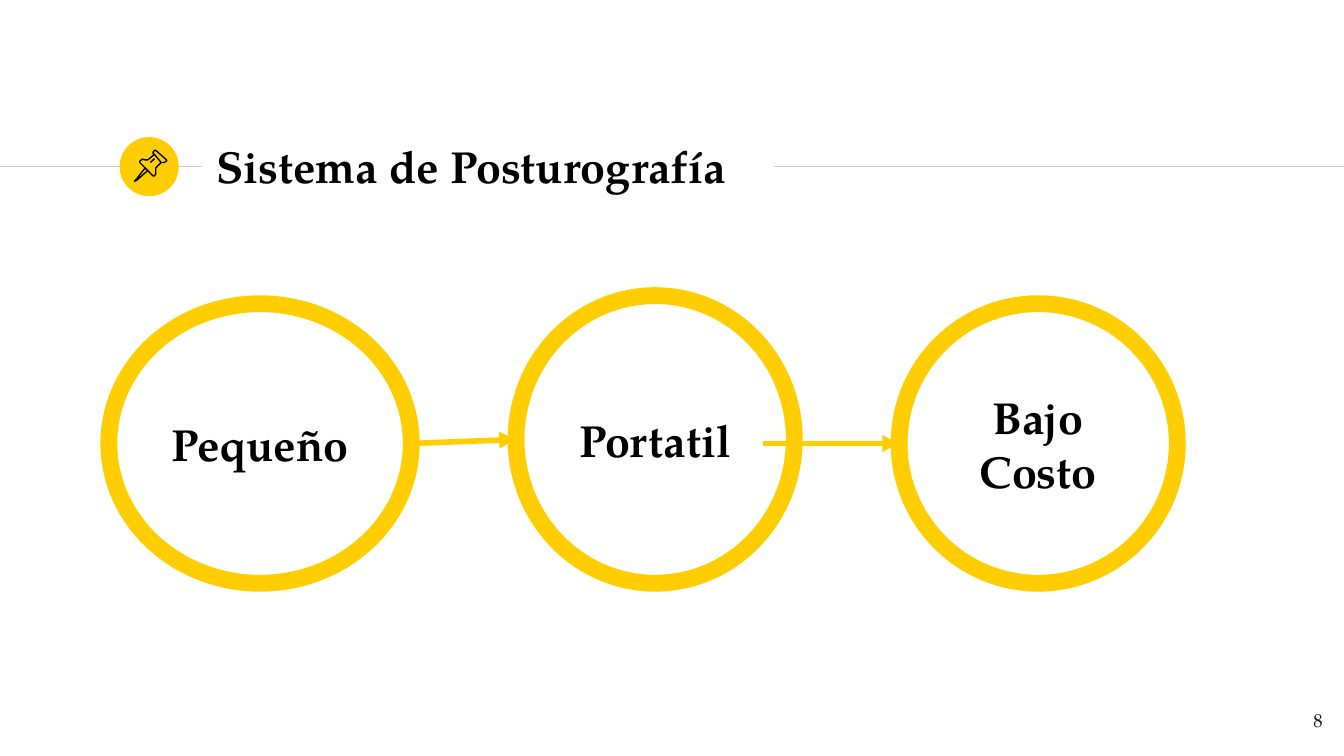
from lxml.etree import SubElement
from pptx import Presentation
from pptx.dml.color import RGBColor
from pptx.enum.shapes import MSO_CONNECTOR, MSO_SHAPE
from pptx.enum.text import MSO_ANCHOR, PP_ALIGN
from pptx.oxml.ns import qn
from pptx.util import Pt

# Content: lengths in points
FONT = "TeX Gyre Pagella"
COLORS = {"accent": "FFCD00", "rule": "CCCCCC", "text": "000000", "number": "1D1D1B"}
TITLE = ("Sistema de Posturografía", (108.72, 71.28, 305.28, 34.56))
PAGE_NUMBER = ("8", (672.48, 373.68, 43.2, 30.96))
RULE_Y = 89.28
RULES = [(0, 108), (414.72, 720)]
BADGE = (64.08, 73.44, 31.68, 31.68)
RINGS = [
    ("Pequeño", (58.32, 162.72, 162, 149.76)),
    ("Portatil", (276.48, 158.4, 149.04, 154.08)),
    ("Bajo\vCosto", (481.68, 162.72, 149.04, 149.76)),
]
ARROWS = [((220.32, 237.6), (276.48, 235.44)), ((408.96, 237.6), (481.68, 237.6))]
PIN = [  # outline points, closed or open
    ([(77.8, 90), (72.7, 96.5), (72, 97.2), (73.4, 96.5), (79.2, 91.4)], True),
    ([(82.8, 82.8), (86.4, 87.1), (87.8, 87.1), (89.3, 86.4), (89.3, 85.7),
      (83.5, 80.6), (82.8, 80.6), (82.1, 81.4), (82.1, 82.4)], True),
    ([(82.8, 82.8), (79.2, 85.7), (77.8, 85.7), (76.3, 85.3), (74.9, 86.4),
      (74.9, 87.1), (82.1, 94.3), (82.8, 94.3), (83.5, 93.2), (83.5, 90),
      (86.4, 87.1)], False),
    ([(80.6, 87.1), (82.8, 85)], False),
]


def color(name):
    return RGBColor.from_string(COLORS[name])


def points(values):
    return [Pt(value) for value in values]


def write(shape, text, size=24, ink="text", bold=True, align=PP_ALIGN.CENTER,
          anchor=MSO_ANCHOR.MIDDLE):
    frame = shape.text_frame
    frame.word_wrap = True
    frame.vertical_anchor = anchor
    frame.margin_left = frame.margin_right = Pt(7.2)
    frame.margin_top = frame.margin_bottom = Pt(7.2)
    paragraph = frame.paragraphs[0]
    paragraph.text = text
    paragraph.alignment = align
    for span in paragraph.runs:
        span.font.name = FONT
        span.font.size = Pt(size)
        span.font.bold = bold
        span.font.color.rgb = color(ink)


def stroke(shape, ink, width):
    shape.line.color.rgb = color(ink)
    shape.line.width = Pt(width)


def add_circle(page, frame):
    circle = page.shapes.add_shape(MSO_SHAPE.OVAL, *points(frame))
    circle.shadow.inherit = False
    return circle


def add_line(page, start, end, ink, width, arrow=False):
    line = page.shapes.add_connector(MSO_CONNECTOR.STRAIGHT, *points(start + end))
    stroke(line, ink, width)
    if arrow:
        SubElement(line.line._get_or_add_ln(), qn("a:tailEnd"), type="triangle")
    SubElement(line._element.spPr, qn("a:effectLst"))


deck = Presentation()
deck.slide_width, deck.slide_height = Pt(720), Pt(405)
page = deck.slides.add_slide(deck.slide_layouts[5])

# Header rules and badge
for left, right in RULES:
    add_line(page, (left, RULE_Y), (right, RULE_Y), "rule", 0.75)
badge = add_circle(page, BADGE)
badge.fill.solid()
badge.fill.fore_color.rgb = color("accent")
badge.line.fill.background()

# Title
text, frame = TITLE
title = page.shapes.title
title.left, title.top, title.width, title.height = points(frame)
write(title, text, align=PP_ALIGN.LEFT)

# Pushpin icon
pin = page.shapes.add_group_shape()
for outline, closed in PIN:
    start, *rest = [points(point) for point in outline]
    builder = pin.shapes.build_freeform(*start)
    builder.add_line_segments(rest, close=closed)
    part = builder.convert_to_shape()
    part.shadow.inherit = False
    part.fill.background()
    stroke(part, "text", 0.75)

# Rings
for text, frame in RINGS:
    ring = add_circle(page, frame)
    ring.fill.background()
    stroke(ring, "accent", 9)
    write(ring, text)

# Arrows between rings
for start, end in ARROWS:
    add_line(page, start, end, "accent", 3, arrow=True)

# Page number
text, frame = PAGE_NUMBER
number = page.shapes.add_textbox(*points(frame))
write(number, text, size=10, ink="number", bold=False, align=PP_ALIGN.RIGHT,
      anchor=MSO_ANCHOR.TOP)

deck.save("out.pptx")
